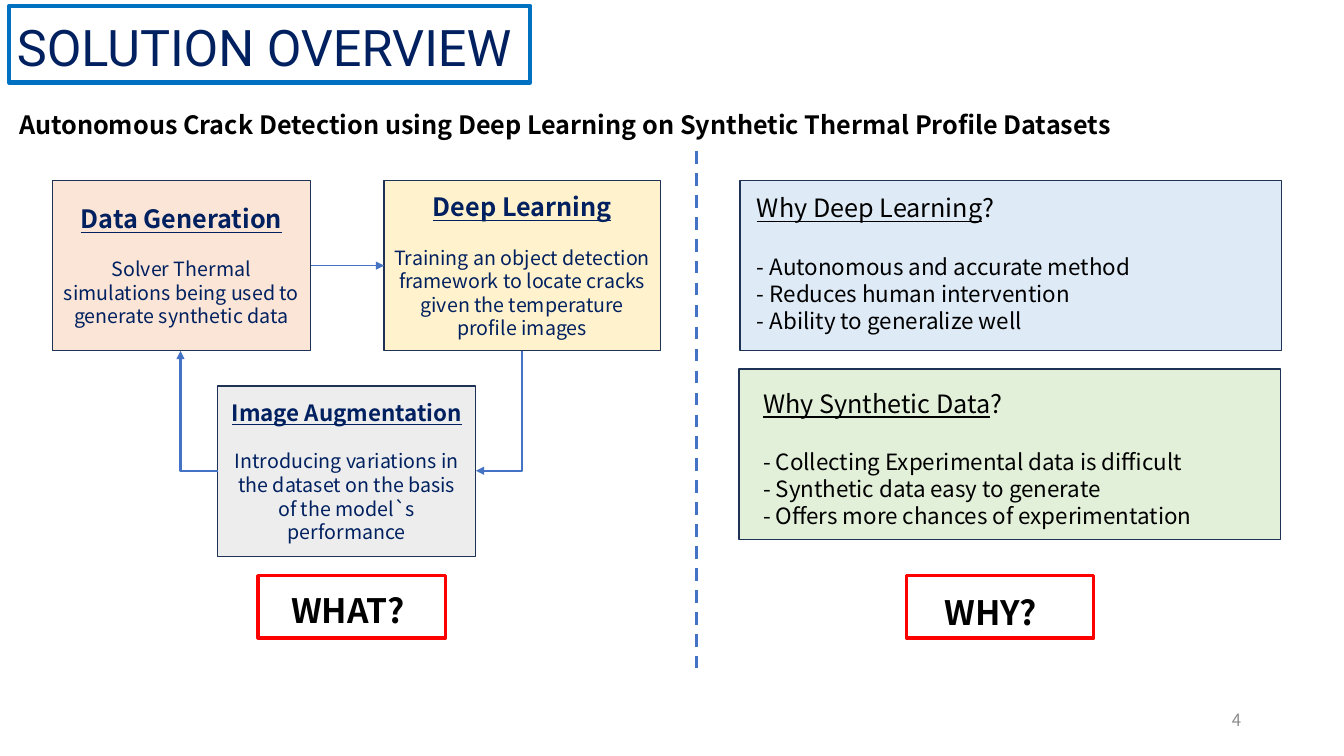
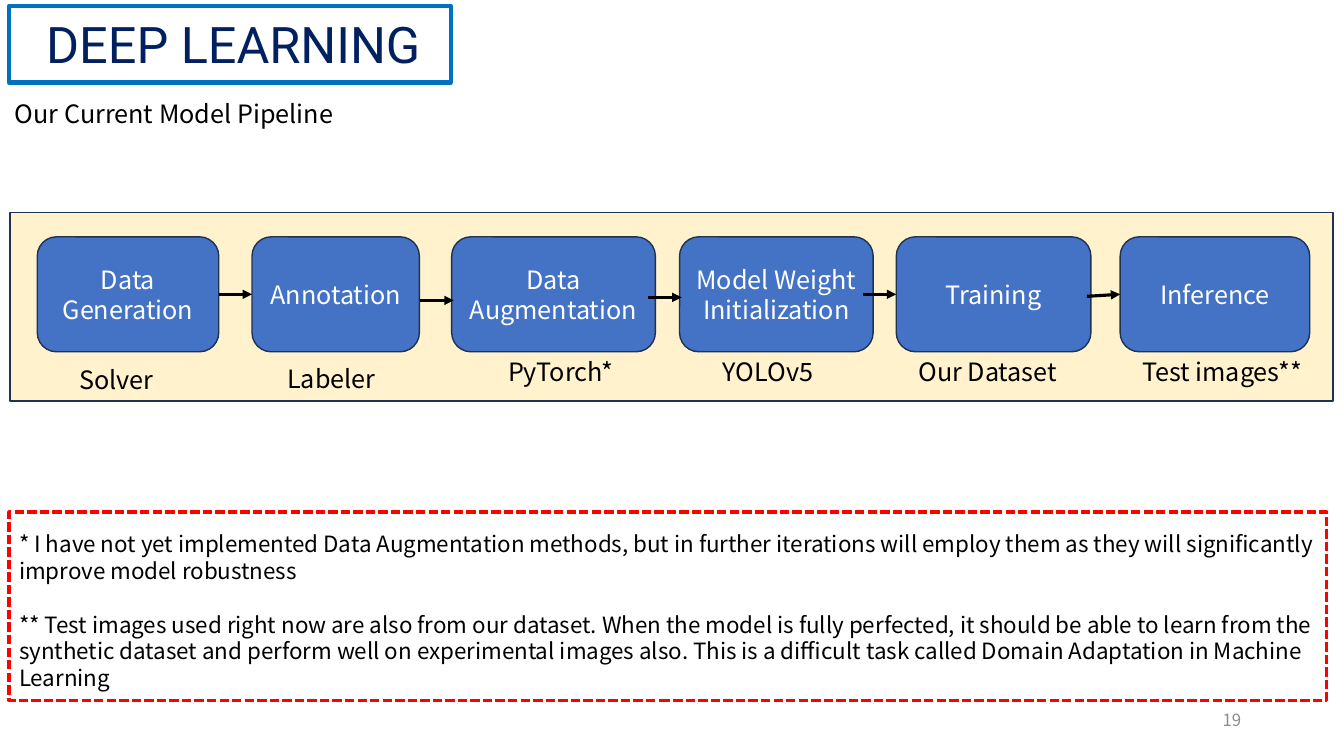
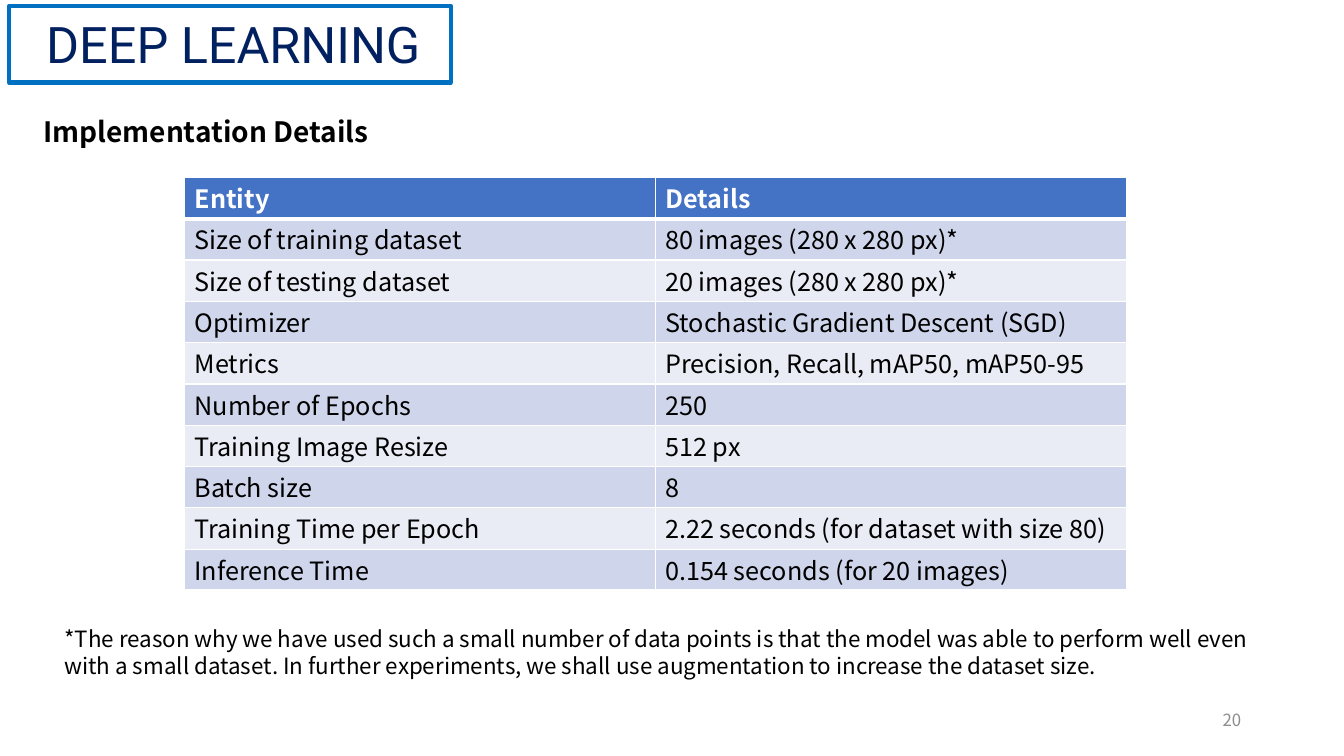
"""Build three slides on crack detection with deep learning."""
from dataclasses import dataclass

from lxml.etree import SubElement
from pptx import Presentation
from pptx.dml.color import RGBColor
from pptx.enum.dml import MSO_LINE
from pptx.enum.shapes import MSO_CONNECTOR, MSO_SHAPE
from pptx.enum.text import MSO_ANCHOR, PP_ALIGN
from pptx.oxml.ns import qn
from pptx.util import Inches, Pt

BODY_FONT = "Noto Sans CJK SC"
TITLE_FONT = "Roboto"
LINE_HEIGHT = 1.2
BLACK = RGBColor(0x00, 0x00, 0x00)
WHITE = RGBColor(0xFF, 0xFF, 0xFF)
NAVY = RGBColor(0x00, 0x20, 0x60)
OUTLINE = RGBColor(0x1E, 0x32, 0x56)
FRAME_BLUE = RGBColor(0x00, 0x70, 0xC0)
BLUE = RGBColor(0x44, 0x72, 0xC4)
RED = RGBColor(0xFF, 0x00, 0x00)
GREY = RGBColor(0x8C, 0x8C, 0x8C)
PEACH = RGBColor(0xFB, 0xE5, 0xD6)
CREAM = RGBColor(0xFF, 0xF2, 0xCC)
PALE_GREY = RGBColor(0xED, 0xED, 0xED)
PALE_BLUE = RGBColor(0xDE, 0xEB, 0xF7)
PALE_GREEN = RGBColor(0xE2, 0xF0, 0xD9)
BAND_DARK = RGBColor(0xCF, 0xD5, 0xEA)
BAND_LIGHT = RGBColor(0xE9, 0xEB, 0xF5)

STEP_TOP, STEP_HEIGHT = 1.79, 1.69
STAGE_TOP, STAGE_HEIGHT = 2.35, 1.14
ARROW_LENGTH = 0.33

STAGES = [
    ("Data Generation", 0.37, 1.8),
    ("Annotation", 2.5, 1.66),
    ("Data Augmentation", 4.48, 2.02),
    ("Model Weight Initialization", 6.74, 1.92),
    ("Training", 8.89, 1.93),
    ("Inference", 11.11, 1.88),
]
STAGE_TOOLS = [
    ("Solver", 0.69, 3.57, 1.17),
    ("Labeler", 2.75, 3.56, 1.17),
    ("PyTorch*", 4.94, 3.49, 1.41),
    ("YOLOv5", 7.07, 3.49, 1.36),
    ("Our Dataset", 9.01, 3.49, 1.73),
    ("Test images**", 11.23, 3.49, 1.8),
]
STAGE_ARROWS = [
    (2.17, 2.92, True, True),
    (4.17, 2.98, False, False),
    (6.43, 2.95, False, False),
    (8.56, 2.92, False, True),
    (10.78, 2.94, False, True),
]
DETAILS = [
    ("Entity", "Details"),
    ("Size of training dataset", "80 images (280 x 280 px)*"),
    ("Size of testing dataset", "20 images (280 x 280 px)*"),
    ("Optimizer", "Stochastic Gradient Descent (SGD)"),
    ("Metrics", "Precision, Recall, mAP50, mAP50-95"),
    ("Number of Epochs", "250"),
    ("Training Image Resize", "512 px"),
    ("Batch size", "8"),
    ("Training Time per Epoch", "2.22 seconds (for dataset with size 80)"),
    ("Inference Time", "0.154 seconds (for 20 images)"),
]


@dataclass
class Line:
    """One paragraph with its look; tail is a closing run without underline."""
    text: str
    size: float = 18
    color: RGBColor = BLACK
    bold: bool = False
    underline: bool = False
    tail: str = ""
    gap: float = 0
    font: str = BODY_FONT


def write(frame, lines, align=PP_ALIGN.LEFT, anchor=MSO_ANCHOR.TOP):
    """Fill a text frame with formatted lines."""
    frame.word_wrap = True
    frame.vertical_anchor = anchor
    for index, line in enumerate(lines):
        paragraph = frame.paragraphs[0] if index == 0 else frame.add_paragraph()
        paragraph.text = line.text
        paragraph.alignment = align
        paragraph.space_before = Pt(line.gap)
        if line.font == BODY_FONT:
            paragraph.line_spacing = Pt(line.size * LINE_HEIGHT)
        if line.tail:
            paragraph.add_run().text = line.tail
        for position, run in enumerate(paragraph.runs):
            run.font.name = line.font
            run.font.size = Pt(line.size)
            run.font.bold = line.bold
            run.font.underline = line.underline and position == 0
            run.font.color.rgb = line.color


def add_text(slide, left, top, width, height, *lines, **layout):
    """Add a text box."""
    box = slide.shapes.add_textbox(*map(Inches, (left, top, width, height)))
    write(box.text_frame, lines, **layout)


def add_box(slide, left, top, width, height, fill=None, line=OUTLINE, weight=1,
            lines=(), kind=MSO_SHAPE.RECTANGLE):
    """Add an outlined shape with optional fill and centred text."""
    box = slide.shapes.add_shape(kind, *map(Inches, (left, top, width, height)))
    box.shadow.inherit = False
    if fill is None:
        box.fill.background()
    else:
        box.fill.solid()
        box.fill.fore_color.rgb = fill
    box.line.color.rgb = line
    box.line.width = Pt(weight)
    write(box.text_frame, lines, PP_ALIGN.CENTER, MSO_ANCHOR.MIDDLE)
    return box


def add_line(slide, start, end, color, weight, arrow=True, kind=MSO_CONNECTOR.STRAIGHT):
    """Add a connector, with an arrowhead at its end if wanted."""
    connector = slide.shapes.add_connector(kind, *map(Inches, (*start, *end)))
    connector.line.color.rgb = color
    connector.line.width = Pt(weight)
    properties = connector.element.spPr
    if arrow:
        SubElement(properties.find(qn("a:ln")), qn("a:tailEnd"), type="triangle")
    SubElement(properties, qn("a:effectLst"))
    return connector


def add_corner_arrow(slide, start, end, degrees):
    """Add an arrow with a single right-angle turn, rotated about its centre."""
    width, height = abs(end[0] - start[0]), abs(end[1] - start[1])
    if degrees % 180:
        width, height = height, width
    left = (start[0] + end[0] - width) / 2
    top = (start[1] + end[1] - height) / 2
    arrow = add_line(slide, (left, top), (left + width, top + height), BLUE, 1.5,
                     kind=MSO_CONNECTOR.ELBOW)
    properties = arrow.element.spPr
    properties.find(qn("a:xfrm")).set("rot", str(degrees * 60000))
    properties.find(qn("a:prstGeom")).set("prst", "bentConnector2")


def add_slide(deck, title, title_left, title_top, frame_width, number):
    """Add a blank slide with its framed title and page number."""
    slide = deck.slides.add_slide(deck.slide_layouts[6])
    add_text(slide, title_left, title_top, 6, 0.71,
             Line(title, 36, NAVY, font=TITLE_FONT))
    add_box(slide, 0.09, 0.06, frame_width, 0.76, line=FRAME_BLUE, weight=3)
    add_text(slide, 9.41, 6.94, 3, 0.4, Line(str(number), 12, GREY),
             align=PP_ALIGN.RIGHT, anchor=MSO_ANCHOR.MIDDLE)
    return slide


def add_step(slide, left, top, width, fill, heading, text, heading_size=18):
    """Add a box of the work cycle."""
    lines = [Line(heading, heading_size, NAVY, bold=True, underline=True),
             Line(text, 14, NAVY, gap=14 * LINE_HEIGHT)]
    return add_box(slide, left, top, width, STEP_HEIGHT, fill, lines=lines)


def add_reasons(slide, left, top, fill, text_left, text_top, question, reasons):
    """Add a panel with a question and its answers."""
    add_box(slide, left, top, 5.37, STEP_HEIGHT, fill)
    answers = [Line(f"- {reason}", 16, gap=0 if index else 18 * LINE_HEIGHT)
               for index, reason in enumerate(reasons)]
    add_text(slide, text_left, text_top, 5.1, 1.51,
             Line(question, underline=True, tail="?"), *answers)


def add_tag(slide, left, text_left, text_top, word):
    """Add a red frame around a large word."""
    add_box(slide, left, 5.71, 1.86, 0.62, line=RED, weight=2.25)
    add_text(slide, text_left, text_top, 1.5, 0.5, Line(word, 24, bold=True))


def add_details_table(slide):
    """Add the banded table of implementation details."""
    table = slide.shapes.add_table(len(DETAILS), 2, Inches(1.83), Inches(1.76),
                                   Inches(9.34), Inches(4.09)).table
    for row_index, entries in enumerate(DETAILS):
        header = row_index == 0
        last = row_index == len(DETAILS) - 1
        table.rows[row_index].height = Inches(0.4 if last else 0.41)
        band = BAND_DARK if row_index % 2 else BAND_LIGHT
        for column_index, entry in enumerate(entries):
            cell = table.cell(row_index, column_index)
            cell.margin_top, cell.margin_bottom = Inches(0.08), Inches(0.02)
            add_borders(cell, top=3 if row_index == 1 else 1, bottom=3 if header else 1)
            cell.fill.solid()
            cell.fill.fore_color.rgb = BLUE if header else band
            write(cell.text_frame,
                  [Line(entry, color=WHITE if header else BLACK, bold=header)])


def add_borders(cell, top, bottom):
    """Give a table cell white borders."""
    properties = cell._tc.get_or_add_tcPr()
    for side, weight in (("L", 1), ("R", 1), ("T", top), ("B", bottom)):
        border = SubElement(properties, qn(f"a:ln{side}"), w=str(Pt(weight)))
        fill = SubElement(border, qn("a:solidFill"))
        SubElement(fill, qn("a:srgbClr"), val=str(WHITE))


def build_overview(deck):
    """Build the solution overview."""
    slide = add_slide(deck, "SOLUTION OVERVIEW", 0.07, 0.11, 5.17, 4)
    add_text(slide, 0.09, 1.04, 13.05, 0.4, Line(
        "Autonomous Crack Detection using Deep Learning on Synthetic Thermal Profile Datasets",
        bold=True))
    generation = add_step(
        slide, 0.52, STEP_TOP, 2.56, PEACH, "Data Generation",
        "Solver Thermal simulations being used to generate synthetic data")
    learning = add_step(
        slide, 3.81, STEP_TOP, 2.74, CREAM, "Deep Learning",
        "Training an object detection framework to locate cracks given the "
        "temperature profile images")
    add_step(
        slide, 2.16, 3.83, 2.56, PALE_GREY, "Image Augmentation",
        "Introducing variations in the dataset on the basis of the model`s performance", 16)
    to_learning = add_line(slide, (3.08, 2.64), (3.81, 2.64), BLUE, 1)
    to_learning.begin_connect(generation, 3)
    to_learning.end_connect(learning, 1)
    add_corner_arrow(slide, (5.18, 3.48), (4.72, 4.67), 90)
    add_corner_arrow(slide, (2.16, 4.67), (1.79, 3.48), 180)
    add_tag(slide, 2.56, 2.79, 5.8, "WHAT?")
    add_tag(slide, 8.99, 9.27, 5.82, "WHY?")
    add_reasons(slide, 7.34, STEP_TOP, PALE_BLUE, 7.41, 1.86, "Why Deep Learning",
                ["Autonomous and accurate method", "Reduces human intervention",
                 "Ability to generalize well"])
    add_reasons(slide, 7.33, 3.66, PALE_GREEN, 7.47, 3.8, "Why Synthetic Data",
                ["Collecting Experimental data is difficult",
                 "Synthetic data easy to generate",
                 "Offers more chances of experimentation"])
    divider = add_line(slide, (6.91, 1.5), (6.91, 6.72), BLUE, 2.25, arrow=False)
    divider.line.dash_style = MSO_LINE.DASH


def build_pipeline(deck):
    """Build the model pipeline."""
    slide = add_slide(deck, "DEEP LEARNING", 0.36, 0.08, 4.38, 19)
    add_text(slide, 0.05, 0.93, 5.52, 0.4, Line("Our Current Model Pipeline"))
    add_box(slide, 0.1, 2.11, 13.12, 1.87, CREAM)
    stages = [add_box(slide, left, STAGE_TOP, width, STAGE_HEIGHT, BLUE,
                      lines=[Line(name, color=WHITE)], kind=MSO_SHAPE.ROUNDED_RECTANGLE)
              for name, left, width in STAGES]
    for index, (left, top, joins_start, joins_end) in enumerate(STAGE_ARROWS):
        arrow = add_line(slide, (left, top), (left + ARROW_LENGTH, top), BLACK, 2.25)
        if joins_start:
            arrow.begin_connect(stages[index], 3)
        if joins_end:
            arrow.end_connect(stages[index + 1], 1)
    for tool, left, top, width in STAGE_TOOLS:
        add_text(slide, left, top, width, 0.4, Line(tool))
    add_text(
        slide, 0.09, 5.21, 13.29, 1.99,
        Line("* I have not yet implemented Data Augmentation methods, but in further "
             "iterations will employ them as they will significantly improve model "
             "robustness", 16),
        Line("** Test images used right now are also from our dataset. When the model is "
             "fully perfected, it should be able to learn from the synthetic dataset and "
             "perform well on experimental images also. This is a difficult task called "
             "Domain Adaptation in Machine Learning", 16, gap=16 * LINE_HEIGHT))
    notes_frame = add_box(slide, 0.09, 5.08, 13.07, 1.87, line=RED, weight=2.25)
    notes_frame.line.dash_style = MSO_LINE.SQUARE_DOT


def build_details(deck):
    """Build the implementation details."""
    slide = add_slide(deck, "DEEP LEARNING", 0.36, 0.08, 4.38, 20)
    add_text(slide, 0.33, 1.09, 5.52, 0.44, Line("Implementation Details", 20, bold=True))
    add_details_table(slide)
    add_text(slide, 0.54, 6.15, 12.26, 0.64, Line(
        "*The reason why we have used such a small number of data points is that the model "
        "was able to perform well even with a small dataset. In further experiments, we "
        "shall use augmentation to increase the dataset size.", 16))


def main():
    """Build and save the deck."""
    deck = Presentation()
    deck.slide_width, deck.slide_height = Inches(13.33), Inches(7.5)
    build_overview(deck)
    build_pipeline(deck)
    build_details(deck)
    deck.save("out.pptx")


if __name__ == "__main__":
    main()
